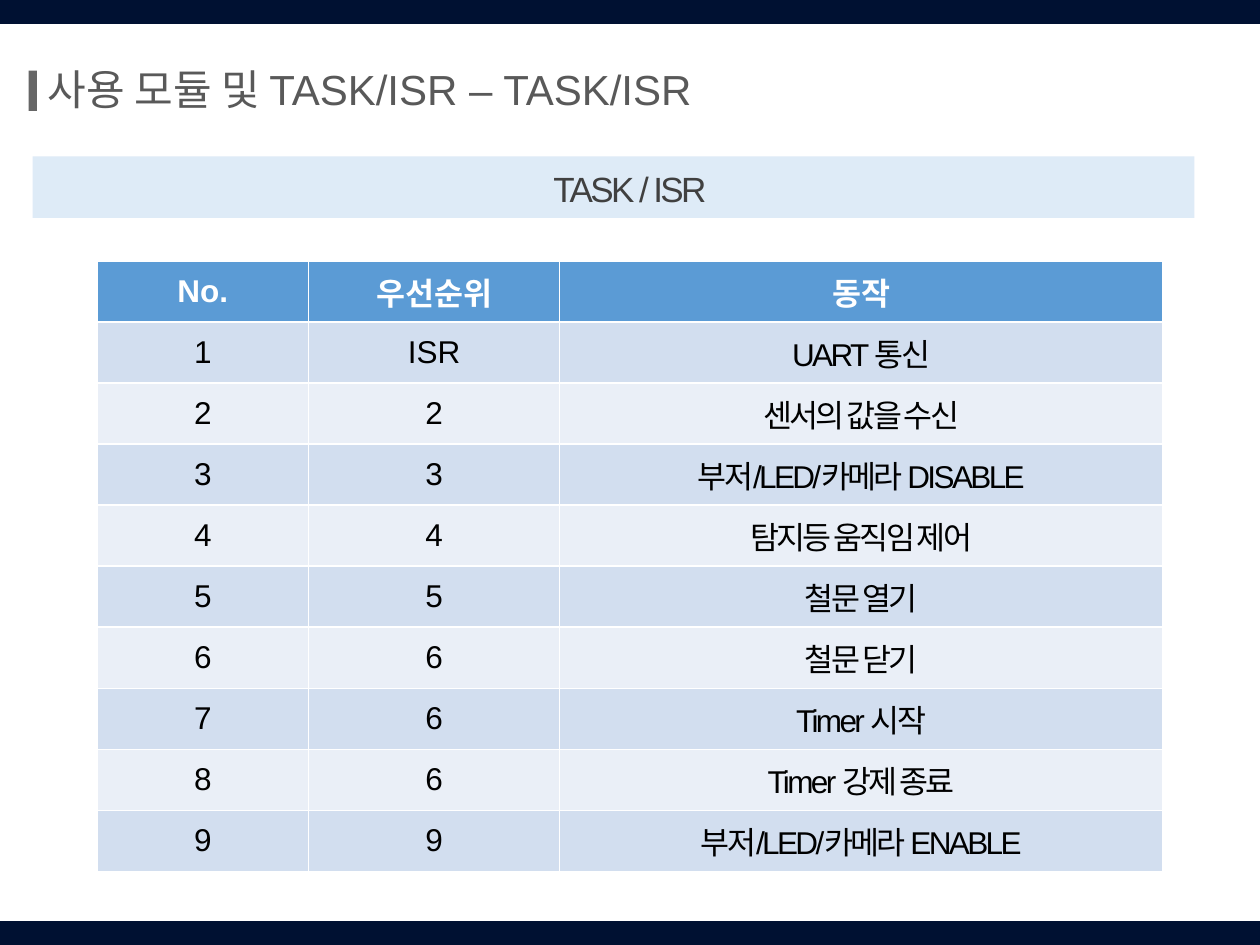
from dataclasses import dataclass

from lxml import etree
from pptx import Presentation
from pptx import util as u
from pptx.dml.color import RGBColor
from pptx.enum import shapes, text
from pptx.oxml import ns

COLORS = {
    "navy": "001132", "title": "595959", "dark": "404040", "pale": "DEEBF7",
    "header": "5B9BD5", "odd": "D2DEEF", "even": "EAEFF7",
    "white": "FFFFFF", "black": "000000",
}
FONT = "Arial"
TIGHT = -150
COLUMNS = [1.68, 1.99, 4.79]
HEADINGS = ("No.", "우선순위", "동작")
TASKS = [
    ("ISR", "UART 통신"),
    ("2", "센서의 값을 수신"),
    ("3", "부저/LED/카메라 DISABLE"),
    ("4", "탐지등 움직임 제어"),
    ("5", "철문 열기"),
    ("6", "철문 닫기"),
    ("6", "Timer 시작"),
    ("6", "Timer 강제 종료"),
    ("9", "부저/LED/카메라 ENABLE"),
]


@dataclass
class Band:
    left: float
    top: float
    width: float
    height: float
    color: str


BANDS = [
    Band(0, 0, 10, 0.19, "navy"),
    Band(0, 7.31, 10, 0.19, "navy"),
    Band(0.26, 1.24, 9.22, 0.49, "pale"),
]


def rgb(name: str) -> RGBColor:
    return RGBColor.from_string(COLORS[name])


def write(tf, words: str, size: float, color: str, align=text.PP_ALIGN.CENTER,
          bold: bool = False, spacing: int = 0) -> None:
    p = tf.paragraphs[0]
    p.alignment = align
    r = p.add_run()
    r.text = words
    formats = {"name": FONT, "size": u.Pt(size), "bold": bold}
    for key, value in formats.items():
        setattr(r.font, key, value)
    r.font.color.rgb = rgb(color)
    if spacing:
        r._r.get_or_add_rPr().set("spc", str(spacing))


def place(sp, left: float, top: float, width: float, height: float) -> None:
    box = {"left": left, "top": top, "width": width, "height": height}
    for key, value in box.items():
        setattr(sp, key, u.Inches(value))


def fit(tf, wrap: bool) -> None:
    formats = {"word_wrap": wrap, "auto_size": text.MSO_AUTO_SIZE.SHAPE_TO_FIT_TEXT,
               "vertical_anchor": text.MSO_ANCHOR.TOP}
    for key, value in formats.items():
        setattr(tf, key, value)


def draw_band(s, band: Band) -> None:
    sp = s.shapes.add_shape(shapes.MSO_SHAPE.RECTANGLE, u.Inches(band.left),
                            u.Inches(band.top), u.Inches(band.width), u.Inches(band.height))
    sp.shadow.inherit = False
    sp.fill.solid()
    sp.fill.fore_color.rgb = rgb(band.color)
    sp.line.fill.background()


def draw_title(s) -> None:
    title = s.shapes.title
    place(title, 0.28, 0.45, 6.07, 0.5)
    fit(title.text_frame, False)
    write(title.text_frame, "사용 모듈 및 TASK/ISR – TASK/ISR", 24, "title", text.PP_ALIGN.LEFT)

    marker = s.shapes.add_connector(shapes.MSO_CONNECTOR.STRAIGHT, u.Inches(0.26),
                                    u.Inches(0.56), u.Inches(0.26), u.Inches(0.88))
    marker.line.width = u.Pt(4.75)
    marker.line.color.rgb = rgb("dark")
    spPr = marker._element.spPr
    color = spPr.find(".//" + ns.qn("a:srgbClr"))
    etree.SubElement(color, ns.qn("a:alpha"), val="80000")
    etree.SubElement(spPr, ns.qn("a:effectLst"))


def draw_heading(s) -> None:
    sp = s.shapes.add_textbox(u.Inches(1.7), u.Inches(1.28), u.Inches(6.6), u.Inches(0.44))
    fit(sp.text_frame, True)
    write(sp.text_frame, "TASK / ISR", 20, "dark", spacing=TIGHT)


def draw_table(s) -> None:
    rows = [HEADINGS] + [(str(n), *task) for n, task in enumerate(TASKS, 1)]
    frame = s.shapes.add_table(len(rows), len(COLUMNS), u.Inches(0.77), u.Inches(2.07),
                               u.Inches(sum(COLUMNS)), u.Inches(4.85))
    table = frame.table
    for column, width in zip(table.columns, COLUMNS):
        column.width = u.Inches(width)
    for i, row in enumerate(rows):
        header = i == 0
        fill = "header" if header else "odd" if i % 2 else "even"
        for j, words in enumerate(row):
            cell = table.cell(i, j)
            cell.fill.solid()
            cell.fill.fore_color.rgb = rgb(fill)
            cell.vertical_anchor = text.MSO_ANCHOR.MIDDLE
            write(cell.text_frame, words, 18, "white" if header else "black", bold=header,
                  spacing=TIGHT if j == 2 and not header else 0)


def main() -> None:
    prs = Presentation()
    prs.slide_width, prs.slide_height = u.Inches(10), u.Inches(7.5)
    s = prs.slides.add_slide(prs.slide_layouts[5])
    for band in BANDS:
        draw_band(s, band)
    draw_title(s)
    draw_table(s)
    draw_heading(s)
    prs.save("out.pptx")


if __name__ == "__main__":
    main()
